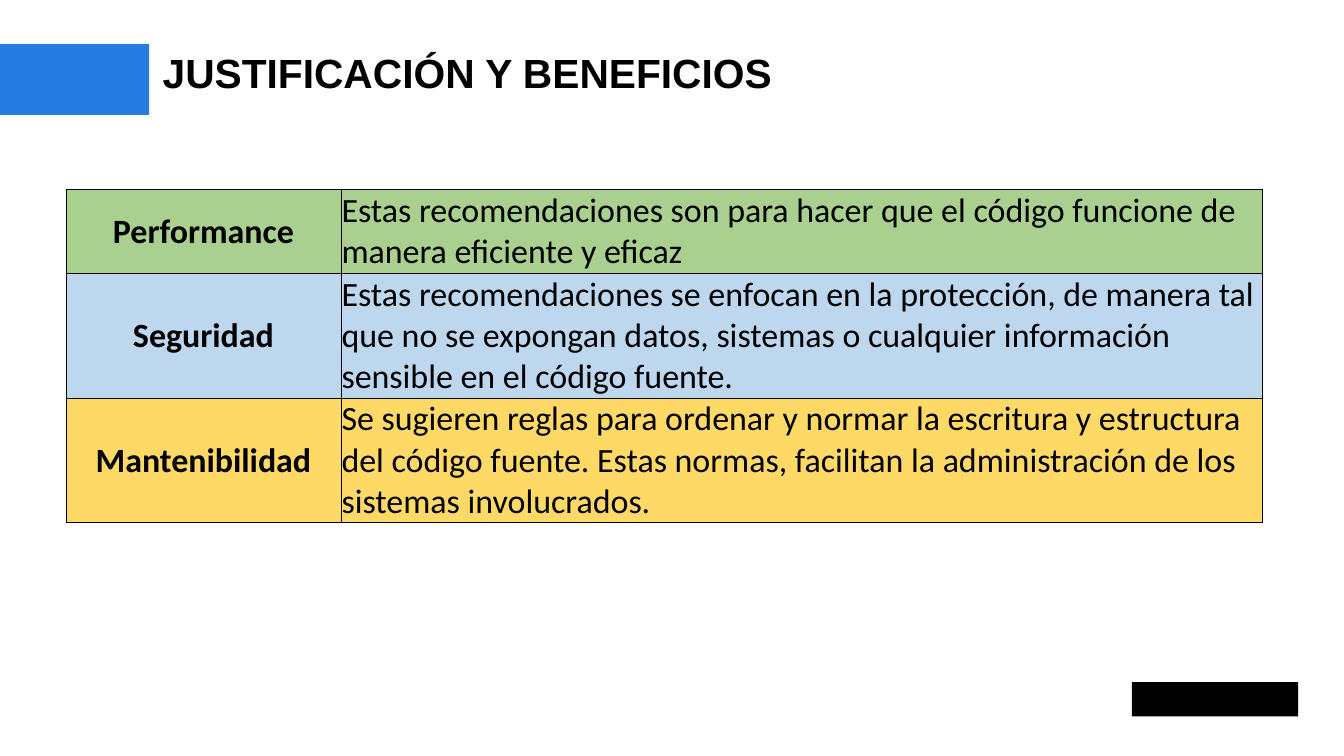
"""Build the slide on justification and benefits: a title and a three-row table."""
from lxml.etree import SubElement
from pptx import Presentation
from pptx.dml.color import RGBColor
from pptx.enum.shapes import MSO_SHAPE
from pptx.enum.text import MSO_ANCHOR, PP_ALIGN
from pptx.oxml.ns import qn
from pptx.util import Inches, Pt

BLACK = RGBColor(0x00, 0x00, 0x00)
BLUE = RGBColor(0x25, 0x7C, 0xE1)
GREEN = RGBColor(0xA9, 0xD0, 0x8E)
SKY = RGBColor(0xBD, 0xD7, 0xEE)
YELLOW = RGBColor(0xFF, 0xD9, 0x66)

prs = Presentation()
prs.slide_width, prs.slide_height = Inches(21.99), Inches(12.37)
s = prs.slides.add_slide(prs.slide_layouts[6])


def share(x, y, w, h):
    """Turn percentages of the slide into left, top, width and height."""
    W, H = prs.slide_width, prs.slide_height
    return [int(v * side / 100) for v, side in ((x, W), (y, H), (w, W), (h, H))]


def add_run(p, text, font, size, bold):
    """Add one black run to a paragraph."""
    r = p.add_run()
    r.text = text
    r.font.name, r.font.size, r.font.bold = font, Pt(size), bold
    r.font.color.rgb = BLACK


for box, color in (((0, 5.82, 11.1, 9.38), BLUE), ((84.22, 90.22, 12.37, 4.53), BLACK)):
    sp = s.shapes.add_shape(MSO_SHAPE.RECTANGLE, *share(*box))
    sp.shadow.inherit = False
    sp.fill.solid()
    sp.fill.fore_color.rgb = color
    sp.line.fill.background()

tf = s.shapes.add_textbox(*share(12.1, 6.31, 84.5, 6.55)).text_frame
tf.word_wrap = True
tf.margin_left = tf.margin_top = tf.margin_right = tf.margin_bottom = 0
add_run(tf.paragraphs[0], "JUSTIFICACIÓN Y BENEFICIOS", "Arial", 48, True)

rows = [
    ("Performance", "Estas recomendaciones son para hacer que el código funcione de "
     "manera eficiente y eficaz", GREEN, 11.08),
    ("Seguridad", "Estas recomendaciones se enfocan en la protección, de manera tal "
     "que no se expongan datos, sistemas o cualquier información sensible en el "
     "código fuente.", SKY, 16.49),
    ("Mantenibilidad", "Se sugieren reglas para ordenar y normar la escritura y "
     "estructura del código fuente. Estas normas, facilitan la administración de "
     "los sistemas involucrados.", YELLOW, 16.49),
]
table = s.shapes.add_table(len(rows), 2, *share(4.91, 25.06, 89.04, 44.06)).table
table.first_row = table.horz_banding = False
for column, width in zip(table.columns, (20.46, 68.58)):
    column.width = int(prs.slide_width * width / 100)

for i, (topic, benefit, color, height) in enumerate(rows):
    table.rows[i].height = int(prs.slide_height * height / 100)
    for j, text in enumerate((topic, benefit)):
        cell = table.cell(i, j)
        cell.margin_left = cell.margin_top = cell.margin_right = Inches(0.01)
        cell.margin_bottom = 0
        cell.vertical_anchor = MSO_ANCHOR.MIDDLE
        for side in ("a:lnL", "a:lnR", "a:lnT", "a:lnB"):
            ln = SubElement(cell._tc.get_or_add_tcPr(), qn(side), w=str(Pt(0.5)))
            SubElement(SubElement(ln, qn("a:solidFill")), qn("a:srgbClr"), val=str(BLACK))
        cell.fill.solid()
        cell.fill.fore_color.rgb = color
        p = cell.text_frame.paragraphs[0]
        p.alignment = PP_ALIGN.LEFT if j else PP_ALIGN.CENTER
        add_run(p, text, "Calibri", 40, j == 0)

prs.save("out.pptx")
